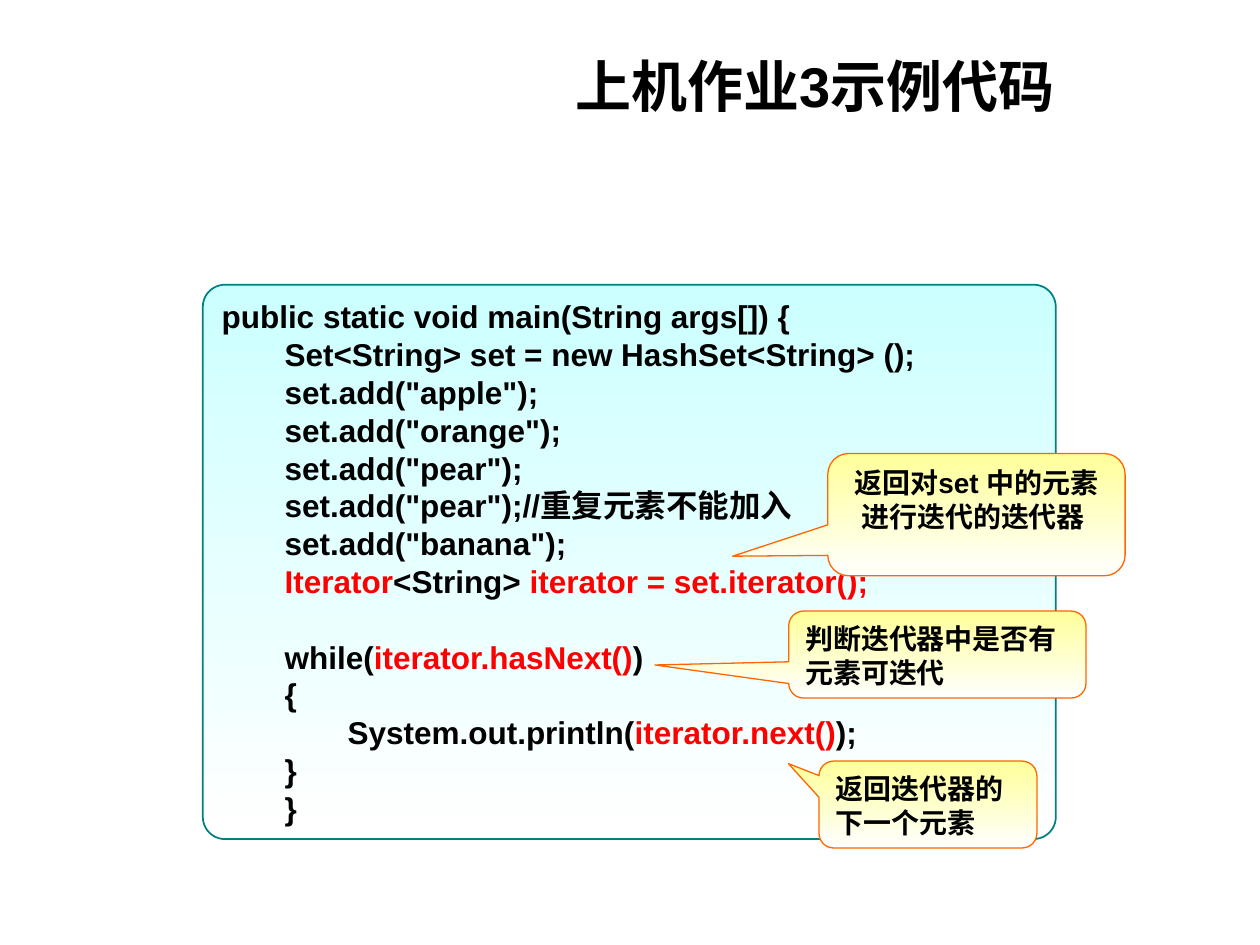
from dataclasses import dataclass

from pptx import Presentation
from pptx.dml.color import RGBColor
from pptx.enum.shapes import MSO_SHAPE
from pptx.enum.text import MSO_ANCHOR, PP_ALIGN
from pptx.util import Inches, Pt

ROUNDED = MSO_SHAPE.ROUNDED_RECTANGLE
CALLOUT = MSO_SHAPE.ROUNDED_RECTANGULAR_CALLOUT
TOP, MIDDLE = MSO_ANCHOR.TOP, MSO_ANCHOR.MIDDLE
LEFT, CENTER, RIGHT = PP_ALIGN.LEFT, PP_ALIGN.CENTER, PP_ALIGN.RIGHT


@dataclass(frozen=True)
class Theme:
    font: str = "Arial"
    text: RGBColor = RGBColor(0, 0, 0)
    highlight: RGBColor = RGBColor(255, 0, 0)
    fade: RGBColor = RGBColor(255, 255, 255)
    code_fill: RGBColor = RGBColor(0xCC, 0xFF, 0xFF)
    code_line: RGBColor = RGBColor(0, 0x80, 0x80)
    note_fill: RGBColor = RGBColor(0xFF, 0xFF, 0x99)
    note_line: RGBColor = RGBColor(0xFF, 0x66, 0)
    title_size: Pt = Pt(32)
    code_size: Pt = Pt(18)
    note_size: Pt = Pt(16)


theme = Theme()


def style_paragraph(paragraph, size, align=LEFT):
    paragraph.alignment = align
    font = paragraph.font
    font.name, font.size, font.bold = theme.font, size, True
    font.color.rgb = theme.text


def add_panel(preset, box, adjustments, fill, line, line_width):
    """Add a shape that fades downwards from its fill colour to white."""
    panel = slide.shapes.add_shape(preset, *map(Inches, box))
    for index, value in enumerate(adjustments):
        panel.adjustments[index] = value
    panel.shadow.inherit = False
    panel.fill.gradient()
    panel.fill.gradient_angle = 270
    for stop, color, position in zip(panel.fill.gradient_stops, (fill, theme.fade), (0, 1)):
        stop.color.rgb = color
        stop.position = position
    panel.line.color.rgb = line
    panel.line.width = line_width
    panel.text_frame.word_wrap = True
    panel.text_frame.vertical_anchor = TOP
    return panel


prs = Presentation()
prs.slide_width, prs.slide_height = Inches(10), Inches(7.5)
slide = prs.slides.add_slide(prs.slide_layouts[6])

# Code listing: indent level, then pieces that alternate plain and highlighted
code_lines = [
    (0, ["public static void main(String args[]) {"]),
    (1, ["Set<String> set = new HashSet<String> ();"]),
    (1, ['set.add("apple");']),
    (1, ['set.add("orange");']),
    (1, ['set.add("pear");']),
    (1, ['set.add("pear");//重复元素不能加入']),
    (1, ['set.add("banana");']),
    (1, ["", "Iterator", "<String>", " iterator = set.iterator();"]),
    (1, ["while(", "iterator.hasNext()", ")"]),
    (1, ["{"]),
    (2, ["System.out.println(", "iterator.next()", ");"]),
    (1, ["}"]),
    (1, ["}"]),
]
listing = add_panel(ROUNDED, (1.61, 2.26, 6.77, 4.4), [0.04],
                    theme.code_fill, theme.code_line, Pt(1)).text_frame
for number, (level, pieces) in enumerate(code_lines):
    paragraph = listing.add_paragraph() if number else listing.paragraphs[0]
    paragraph.level = level
    properties = paragraph._p.get_or_add_pPr()
    properties.set("marL", str(Inches(0.5 * level)))
    properties.set("indent", "0")
    style_paragraph(paragraph, theme.code_size)
    if pieces[0] == "while(":
        paragraph.space_before = Pt(21.6)
    for index, piece in enumerate(pieces):
        if piece:
            run = paragraph.add_run()
            run.text = piece
            if index % 2:
                run.font.color.rgb = theme.highlight

# Title
title = slide.shapes.add_textbox(*map(Inches, (2.56, 0.36, 5.91, 0.63))).text_frame
title.word_wrap = True
title.vertical_anchor = MIDDLE
title.text = "上机作业3示例代码"
style_paragraph(title.paragraphs[0], theme.title_size, RIGHT)

# Callouts: box, pointer tip relative to the centre, alignment, text
callouts = [
    ((6.57, 3.6, 2.36, 0.97), (-0.82, 0.34), CENTER, "返回对set 中的元素进行迭代的迭代器 "),
    ((6.26, 4.85, 2.36, 0.69), (-0.95, 0.12), LEFT, "判断迭代器中是否有元素可迭代"),
    ((6.5, 6.04, 1.73, 0.69), (-0.64, -0.47), LEFT, "返回迭代器的下一个元素"),
]
for box, tip, align, words in callouts:
    note = add_panel(CALLOUT, box, [*tip, 0.17], theme.note_fill,
                     theme.note_line, Pt(0.75)).text_frame
    note.text = words
    style_paragraph(note.paragraphs[0], theme.note_size, align)

prs.save("out.pptx")
